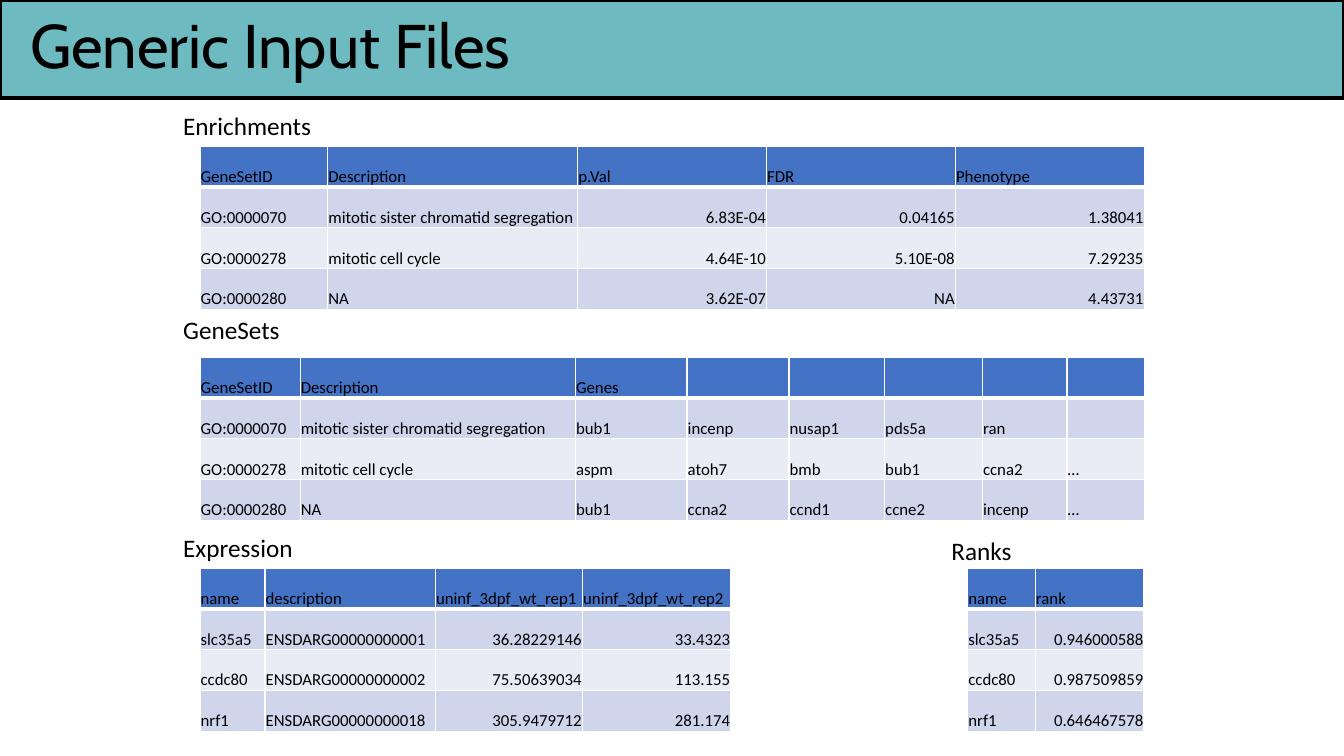
from lxml import etree
from pptx import Presentation
from pptx.dml.color import RGBColor
from pptx.enum.shapes import MSO_SHAPE
from pptx.enum.text import MSO_ANCHOR, MSO_AUTO_SIZE, PP_ALIGN
from pptx.oxml.ns import qn
from pptx.util import Pt

RECT = MSO_SHAPE.RECTANGLE
MIDDLE, BOTTOM = MSO_ANCHOR.MIDDLE, MSO_ANCHOR.BOTTOM
LEFT, RIGHT = PP_ALIGN.LEFT, PP_ALIGN.RIGHT
GROW = MSO_AUTO_SIZE.SHAPE_TO_FIT_TEXT

HEAD = "4472C4"
BANDS = ["E9EBF5", "CFD5EA"]
ROW = 29.16
CELL = {"vertical_anchor": BOTTOM, "margin_left": Pt(0.5), "margin_right": Pt(0.5),
        "margin_top": Pt(0.5), "margin_bottom": Pt(0)}


def paint(fill, color):
    fill.solid()
    fill.fore_color.rgb = RGBColor.from_string(color)


def write(para, text, size, face="Calibri"):
    run = para.add_run()
    run.text = text
    style = {"size": Pt(size), "name": face, "bold": False}
    for key, value in style.items():
        setattr(run.font, key, value)
    paint(run.font.fill, "000000")


deck = Presentation()
deck.slide_width, deck.slide_height = Pt(960), Pt(540)
slide = deck.slides.add_slide(deck.slide_layouts[6])
shapes = slide.shapes

# Title bar
bar = shapes.add_shape(RECT, Pt(0), Pt(0), Pt(960), Pt(70))
bar.shadow.inherit = False
paint(bar.fill, "6DBAC1")
paint(bar.line.fill, "000000")
bar.line.width = Pt(2.25)
bar.text_frame.vertical_anchor = MIDDLE
title = bar.text_frame.paragraphs[0]
title.alignment = LEFT
title.line_spacing = 0.9
title._p.get_or_add_pPr().set("marL", str(Pt(14.4)))
write(title, "Generic Input Files", 44, "Cabin")

# Label, its left, top and width; table left and top; column widths;
# first column with right-aligned values; rows
files = [
    ("Enrichments", 123.8, 75, 110.9, 142.8, 104.4,
     [91.3, 178.6, 134.9, 134.9, 134.9], 2, [
         ["GeneSetID", "Description", "p.Val", "FDR", "Phenotype"],
         ["GO:0000070", "mitotic sister chromatid segregation", "6.83E-04", "0.04165", "1.38041"],
         ["GO:0000278", "mitotic cell cycle", "4.64E-10", "5.10E-08", "7.29235"],
         ["GO:0000280", "NA", "3.62E-07", "NA", "4.43731"]]),
    ("GeneSets", 123.8, 221, 84.2, 142.8, 255.2,
     [71.6, 196.6, 79.8, 72.8, 68.3, 69.9, 60.4, 55.2], 8, [
         ["GeneSetID", "Description", "Genes", "", "", "", "", ""],
         ["GO:0000070", "mitotic sister chromatid segregation",
          "bub1", "incenp", "nusap1", "pds5a", "ran", ""],
         ["GO:0000278", "mitotic cell cycle", "aspm", "atoh7", "bmb", "bub1", "ccna2", "…"],
         ["GO:0000280", "NA", "bub1", "ccna2", "ccnd1", "ccne2", "incenp", "…"]]),
    ("Expression", 123.8, 376.6, 93.6, 142.8, 405.7,
     [46.5, 121.7, 105.1, 106], 2, [
         ["name", "description", "uninf_3dpf_wt_rep1", "uninf_3dpf_wt_rep2"],
         ["slc35a5", "ENSDARG00000000001", "36.28229146", "33.4323"],
         ["ccdc80", "ENSDARG00000000002", "75.50639034", "113.155"],
         ["nrf1", "ENSDARG00000000018", "305.9479712", "281.174"]]),
    ("Ranks", 672.5, 378.7, 57.6, 691.2, 405.7,
     [48.3, 77.7], 1, [
         ["name", "rank"],
         ["slc35a5", "0.946000588"],
         ["ccdc80", "0.987509859"],
         ["nrf1", "0.646467578"]]),
]

for name, x, y, wide, left, top, widths, first, rows in files:
    label = shapes.add_textbox(Pt(x), Pt(y), Pt(wide), Pt(29.1))
    label.text_frame.word_wrap = False
    label.text_frame.auto_size = GROW
    write(label.text_frame.paragraphs[0], name, 18)

    frame = shapes.add_table(len(rows), len(widths), Pt(left), Pt(top),
                             Pt(sum(widths)), Pt(ROW * len(rows)))
    table = frame.table
    for col, width in zip(table.columns, widths):
        col.width = Pt(width)
    for r, row in enumerate(rows):
        table.rows[r].height = Pt(ROW)
        for c, text in enumerate(row):
            cell = table.cell(r, c)
            for key, value in CELL.items():
                setattr(cell, key, value)
            props = cell._tc.get_or_add_tcPr()
            for side in "LRTB":
                thick = 3 if r == 0 and side == "B" else 1
                edge = etree.SubElement(props, qn(f"a:ln{side}"), w=str(Pt(thick)))
                solid = etree.SubElement(edge, qn("a:solidFill"))
                etree.SubElement(solid, qn("a:srgbClr"), val="FFFFFF")
            paint(cell.fill, BANDS[r % 2] if r else HEAD)
            para = cell.text_frame.paragraphs[0]
            para.alignment = RIGHT if r and c >= first else LEFT
            if text:
                write(para, text, 12)

deck.save("out.pptx")
